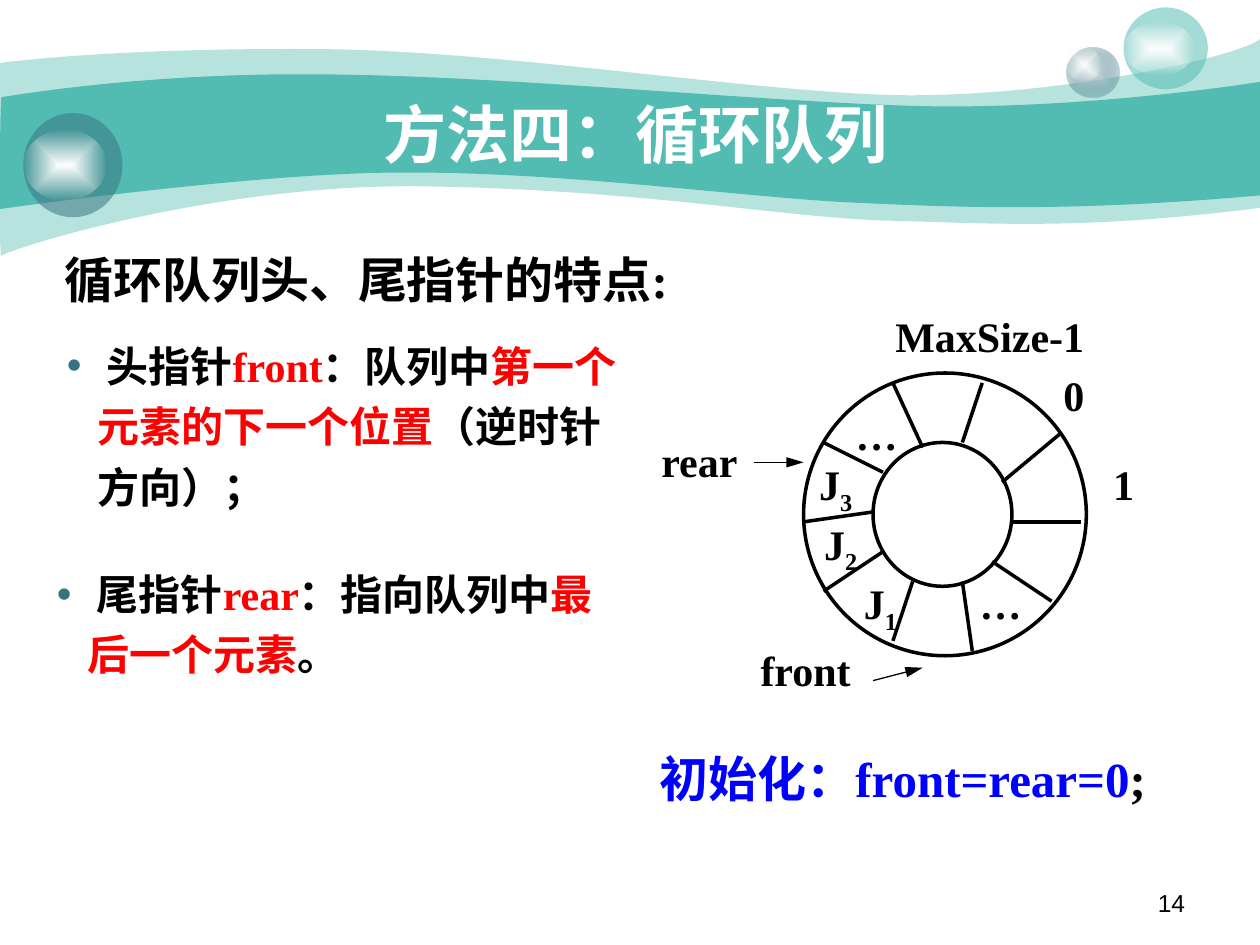
from lxml import etree
from pptx import Presentation
from pptx import util as u
from pptx.dml.color import RGBColor
from pptx.enum import shapes, text
from pptx.oxml import parse_xml
from pptx.oxml.ns import nsdecls, qn

TEAL, SLATE, WHITE = "52BCB2", "37737F", "FFFFFF"
BLACK, RED, BLUE = "000000", "FF0000", "0000FF"
SERIF = "Times New Roman"
LEFT, CENTER, RIGHT = text.PP_ALIGN.LEFT, text.PP_ALIGN.CENTER, text.PP_ALIGN.RIGHT

# Band outlines in cm: one point is a straight step, three points a Bezier curve
OUTER_BAND = [
    [(0, 1.27)],
    [(0.61, 1.19), (2.72, 0.97), (6.27, 0.99)],
    [(9.8, 0.99), (14.61, 1.78), (17.75, 1.91)],
    [(20.88, 2.03), (24.89, 1.19), (25.4, 0.79)],
    [(25.4, 4.19)],
    [(21.79, 4.65), (19.99, 4.5), (17.91, 4.45)],
    [(15.8, 4.39), (13.08, 3.84), (8.71, 3.76)],
    [(4.37, 3.66), (0.1, 5.05), (0.03, 5.16)],
    [(-0.03, 5.28), (0, 1.9), (0, 1.27)],
]
INNER_BAND = [
    [(0.03, 1.96)],
    [(0.05, 1.96), (2.79, 1.47), (6.3, 1.5)],
    [(9.8, 1.5), (15.11, 2.03), (18.24, 2.13)],
    [(21.36, 2.24), (24.79, 1.75), (25.4, 1.65)],
    [(25.4, 3.94)],
    [(21.67, 4.27), (19.43, 4.19), (17.32, 4.09)],
    [(15.21, 4.01), (11.35, 3.45), (8.05, 3.48)],
    [(5.16, 3.48), (-0.05, 4.22), (-0.03, 4.22)],
    [(0, 4.22), (0, 1.96), (0.03, 1.96)],
]


def color(value):
    return RGBColor.from_string(value)


def paint(shape, fill=None, alpha=100, line=None):
    """Set fill, opacity in percent, and outline."""
    shape.shadow.inherit = False
    if fill:
        shape.fill.solid()
        shape.fill.fore_color.rgb = color(fill)
        tint = shape._element.spPr.find(qn("a:solidFill"))[0]
        if alpha < 100:
            etree.SubElement(tint, qn("a:alpha"), val=str(alpha * 1000))
    else:
        shape.fill.background()
    if line:
        shape.line.color.rgb = color(line)
        shape.line.width = u.Pt(2)
    else:
        shape.line.fill.background()


def add_ellipse(page, left, top, width, height, **style):
    shape = page.shapes.add_shape(shapes.MSO_SHAPE.OVAL, u.Cm(left), u.Cm(top),
                                  u.Cm(width), u.Cm(height))
    paint(shape, **style)
    return shape


def add_glow(page, left, top, width, height, inside=WHITE, outside=WHITE, alpha=0):
    """Ellipse whose fill fades from its centre to its rim."""
    properties = add_ellipse(page, left, top, width, height)._element.spPr
    gradient = parse_xml(
        f'<a:gradFill {nsdecls("a")} rotWithShape="1"><a:gsLst>'
        f'<a:gs pos="0"><a:srgbClr val="{inside}"/></a:gs>'
        f'<a:gs pos="100000"><a:srgbClr val="{outside}">'
        f'<a:alpha val="{alpha * 1000}"/></a:srgbClr></a:gs></a:gsLst>'
        '<a:path path="rect"><a:fillToRect l="50000" t="50000" r="50000" b="50000"/>'
        '</a:path></a:gradFill>')
    properties.replace(properties.find(qn("a:noFill")), gradient)


def add_band(page, left, top, outline, **style):
    """Closed outline of straight steps and Bezier curves."""
    corners = [(u.Cm(left + x), u.Cm(top + y)) for segment in outline for x, y in segment]
    builder = page.shapes.build_freeform(*corners[0])
    builder.add_line_segments(corners[1:], close=True)
    band = builder.convert_to_shape()
    steps = iter(list(band._element.iter(qn("a:lnTo"))))
    for segment in outline[1:]:
        group = [next(steps) for _ in segment]
        if len(group) == 3:
            curve = etree.Element(qn("a:cubicBezTo"))
            group[0].addprevious(curve)
            for step in group:
                curve.append(step[0])
                step.getparent().remove(step)
    paint(band, **style)


def add_text(page, left, top, width, height, runs, size=24, align=LEFT, font=SERIF,
             bold=True, spacing=None, bullet=False, anchor=text.MSO_ANCHOR.TOP):
    """Text box with one paragraph; runs are (text, colour[, baseline])."""
    box = page.shapes.add_textbox(u.Cm(left), u.Cm(top), u.Cm(width), u.Cm(height))
    frame = box.text_frame
    frame.word_wrap = True
    frame.vertical_anchor = anchor
    para = frame.paragraphs[0]
    para.alignment = align
    if spacing:
        para.line_spacing = spacing
    if bullet:
        props = para._p.get_or_add_pPr()
        props.set("marL", str(u.Cm(0.61)))
        props.set("indent", str(-u.Cm(0.61)))
        tint = etree.SubElement(props, qn("a:buClr"))
        etree.SubElement(tint, qn("a:srgbClr"), val=SLATE)
        etree.SubElement(props, qn("a:buFont"), typeface="Arial")
        etree.SubElement(props, qn("a:buChar"), char="•")
    for words, tone, *baseline in runs:
        span = para.add_run()
        span.text = words
        span.font.name = font
        span.font.size = u.Pt(size)
        span.font.bold = bold
        span.font.color.rgb = color(tone)
        if baseline:
            span.font._element.set("baseline", str(baseline[0] * 1000))


def add_line(page, start, end, width=2, arrow=False):
    line = page.shapes.add_connector(shapes.MSO_CONNECTOR.STRAIGHT,
                                     *(u.Cm(value) for value in (*start, *end)))
    line.line.color.rgb = color(BLACK)
    line.line.width = u.Pt(width)
    if arrow:
        etree.SubElement(line.line._get_or_add_ln(), qn("a:tailEnd"),
                         type="triangle", w="med", len="lg")
    etree.SubElement(line._element.spPr, qn("a:effectLst"))


def draw_header(page, left, top):
    # Waves
    add_band(page, left, top, OUTER_BAND, fill=TEAL, alpha=41)
    add_band(page, left, top, INNER_BAND, fill=TEAL)
    # Bubbles with highlights
    add_glow(page, left + 21.5, top + 0.95, 1.07, 1.02, "CCDBDE", SLATE, 31)
    add_glow(page, left + 21.5, top + 0.95, 0.71, 0.69)
    add_ellipse(page, left + 22.65, top + 0.15, 1.7, 1.65, fill=TEAL, alpha=53)
    add_glow(page, left + 22.65, top + 0.43, 1.42, 1.09)
    add_ellipse(page, left + 0.47, top + 2.28, 2, 2.1, fill=SLATE, alpha=53)
    add_glow(page, left + 0.47, top + 2.62, 1.68, 1.42)
    # Title
    add_text(page, left + 2.55, top + 1.9, 20.52, 1.57, [("方法四：循环队列", WHITE)],
             size=36, align=CENTER, anchor=text.MSO_ANCHOR.MIDDLE)


def draw_pointer_notes(page, left, top):
    add_text(page, left + 0.15, top, 14.2, 1.68, [("循环队列头、尾指针的特点:", BLACK)],
             size=28, spacing=1.2)
    add_text(page, left + 0.2, top + 1.86, 11.81, 3.91,
             [(" 头指针", BLACK), ("front", RED), ("：队列中", BLACK),
              ("第一个元素的下一个位置", RED), ("（逆时针方向）；", BLACK)],
             spacing=1.2, bullet=True)
    add_text(page, left, top + 6.46, 11.61, 2.69,
             [(" 尾指针", BLACK), ("rear", RED), ("：指向队列中", BLACK),
              ("最后一个元素", RED), ("。", BLACK)],
             spacing=1.2, bullet=True)


def draw_ring(page, left, top):
    # Pointer names and size label
    for x, y, width, words, align in [(0, 2.54, 3, "rear", CENTER),
                                      (1.2, 6.74, 3.6, "front", RIGHT),
                                      (5.2, 0.01, 5.5, "MaxSize-1", LEFT)]:
        add_text(page, left + x, top + y, width, 1.27, [(words, BLACK)], align=align)
    # Ring
    add_ellipse(page, left + 3.6, top + 1.4, 5.7, 5.7, line=BLACK)
    add_ellipse(page, left + 5, top + 2.8, 2.8, 2.9, line=BLACK)
    # Cell borders, then pointer arrows
    borders = [(5.4, 1.6, 6, 2.9), (4, 2.8, 5.2, 3.4), (3.6, 4.4, 5, 4.2),
               (5.2, 5, 4, 5.8), (5.8, 5.6, 5.4, 6.8), (6.8, 5.6, 7, 7),
               (7.4, 5.2, 8.6, 6), (7.8, 4.4, 9.2, 4.4), (7.6, 3.6, 8.8, 2.6),
               (6.8, 2.8, 7.2, 1.6)]
    arrows = [(2.6, 3.2, 3.6, 3.2), (5, 7.6, 6, 7.34)]
    for lines, style in ((borders, {}), (arrows, {"width": 0.75, "arrow": True})):
        for x1, y1, x2, y2 in lines:
            add_line(page, (left + x1, top + y1), (left + x2, top + y2), **style)
    # Cell labels
    for x, y, words, index in [(8.4, 1.2, "0", ""), (9.4, 3, "1", ""), (6.9, 5.4, "…", ""),
                               (4.4, 2, "…", ""), (3.6, 3, "J", "3"), (3.7, 4.2, "J", "2"),
                               (4.5, 5.4, "J", "1")]:
        runs = [(words, BLACK)] + ([(index, BLACK, -25)] if index else [])
        add_text(page, left + x, top + y, 1.3, 1.42 if index else 1.27, runs, align=CENTER)


def draw_footer(page, left, top):
    add_text(page, left, top, 12.2, 1.68, [("初始化：front=rear=0", BLUE), (";", BLACK)],
             size=28, align=CENTER, spacing=1.2)
    add_text(page, left + 6.12, top + 3.05, 5.92, 0.89, [("14", BLACK)],
             size=14, align=RIGHT, font="Arial", bold=False)


def main():
    deck = Presentation()
    deck.slide_width, deck.slide_height = u.Cm(25.4), u.Cm(19.05)
    page = deck.slides.add_slide(deck.slide_layouts[6])
    draw_header(page, 0, 0)
    draw_pointer_notes(page, 0.9, 4.67)
    draw_ring(page, 12.6, 6.12)
    draw_footer(page, 12.1, 14.73)
    deck.save("out.pptx")


if __name__ == "__main__":
    main()
